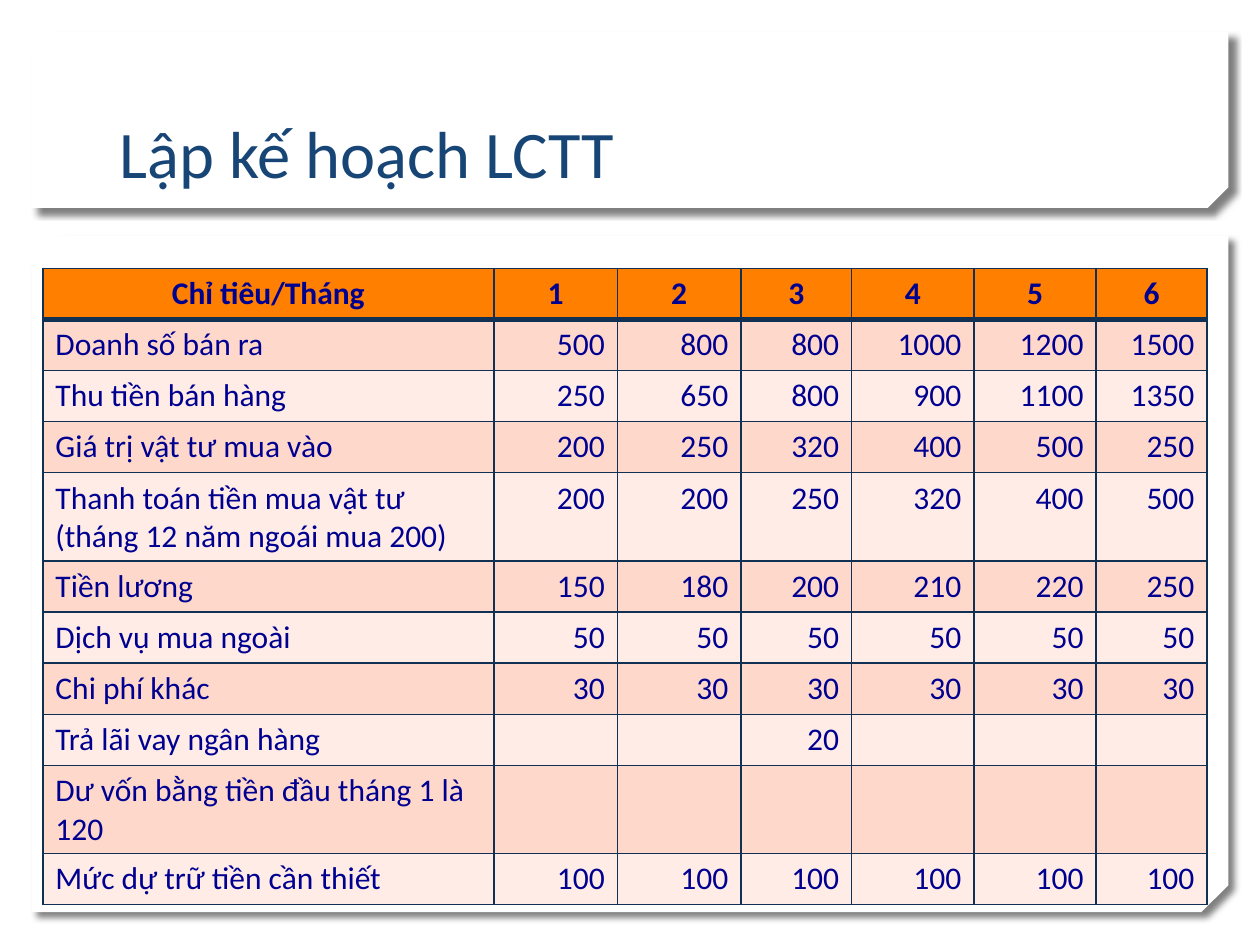
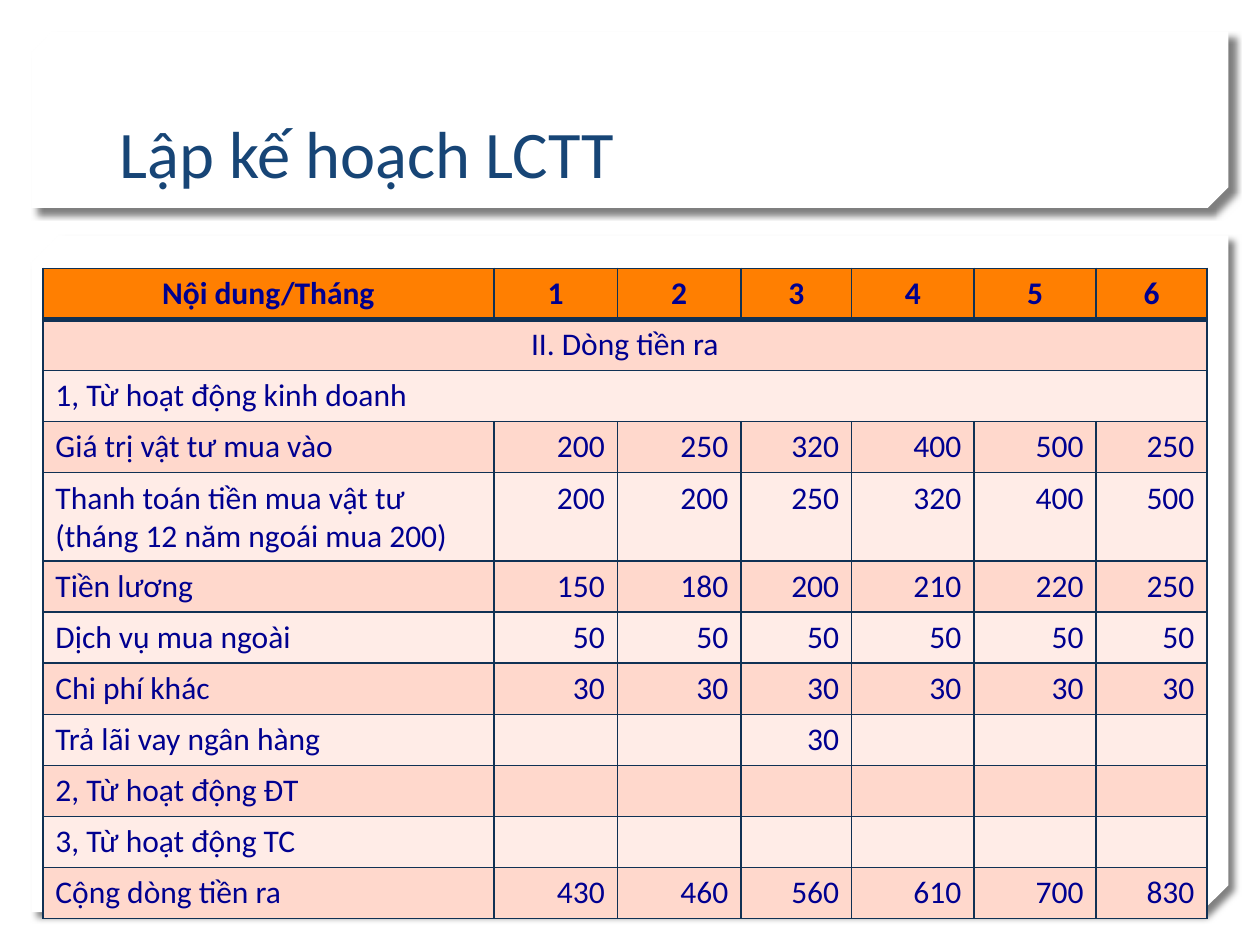
from lxml import etree
from pptx import Presentation, util as u
from pptx.dml.color import RGBColor
from pptx.enum import shapes, text
from pptx.oxml import ns

HUE = {"page": "FFFFFF", "title": "174576", "ink": "000090", "line": "103154",
       "head": "FF7F01", "odd": "FFD8CC", "even": "FFECE7", "shade": "000000"}
LEFT, MID, RIGHT = text.PP_ALIGN.LEFT, text.PP_ALIGN.CENTER, text.PP_ALIGN.RIGHT

deck = Presentation()
deck.slide_width, deck.slide_height = u.Inches(10), u.Inches(7.5)
# One percent of the slide's width and height
PX, PY = deck.slide_width / 100, deck.slide_height / 100

# Left, top, width, height in percent, then the snip of the corner
PANELS = [((2.5, 24.93, 95, 71.6), 0.04), ((2.5, 3.33, 95, 18.67), 0.117)]
TITLE = (8.5, 4.27, 82.9, 16.67)
GRID = (3.4, 28.4)
COLS = [35.8, 9.8, 9.8, 8.8, 9.7, 9.7, 8.8]
ROW = 5.41
MONTHS = [1, 2, 3, 4, 5, 6]
NONE = [""] * 6

COSTS = [
    ("Giá trị vật tư mua vào", [200, 250, 320, 400, 500, 250]),
    ("Thanh toán tiền mua vật tư (tháng 12 năm ngoái mua 200)",
     [200, 200, 250, 320, 400, 500]),
    ("Tiền lương", [150, 180, 200, 210, 220, 250]),
    ("Dịch vụ mua ngoài", [50] * 6),
    ("Chi phí khác", [30] * 6),
]
LOAN = "Trả lãi vay ngân hàng"

# A row whose values are an alignment spans the whole table
PLANS = [
    [("Chỉ tiêu/Tháng", MONTHS),
     ("Doanh số bán ra", [500, 800, 800, 1000, 1200, 1500]),
     ("Thu tiền bán hàng", [250, 650, 800, 900, 1100, 1350]),
     *COSTS,
     (LOAN, ["", "", 20, "", "", ""]),
     ("Dư vốn bằng tiền đầu tháng 1 là 120", NONE),
     ("Mức dự trữ tiền cần thiết", [100] * 6)],
    [("Nội dung/Tháng", MONTHS),
     ("II. Dòng tiền ra", MID),
     ("1, Từ hoạt động kinh doanh", LEFT),
     *COSTS,
     (LOAN, ["", "", 30, "", "", ""]),
     ("2, Từ hoạt động ĐT", NONE),
     ("3, Từ hoạt động TC", NONE),
     ("Cộng dòng tiền ra", [430, 460, 560, 610, 700, 830])],
]


def put(frame, words, size=18, hue="ink", bold=False, align=LEFT):
    frame.word_wrap = True
    para = frame.paragraphs[0]
    para.alignment = align
    font = para.font
    if words != "":
        run = para.add_run()
        run.text = str(words)
        font = run.font
    font.name, font.size, font.bold = "Calibri", u.Pt(size), bold
    font.color.rgb = RGBColor.from_string(HUE[hue])


def area(x, y, wide, high):
    """Turn percentages of the slide into lengths."""
    return [u.Emu(int(n)) for n in (x * PX, y * PY, wide * PX, high * PY)]


for plan in PLANS:
    slide = deck.slides.add_slide(deck.slide_layouts[6])

    for place, snip in PANELS:
        panel = slide.shapes.add_shape(
            shapes.MSO_SHAPE.SNIP_2_DIAG_RECTANGLE, *area(*place))
        panel.adjustments[0], panel.adjustments[1] = 0, snip
        panel.fill.solid()
        panel.fill.fore_color.rgb = RGBColor.from_string(HUE["page"])
        panel.line.fill.background()
        panel.shadow.inherit = False
        props = panel.element.spPr
        props.find(ns.qn("a:xfrm")).set("flipV", "1")
        shade = etree.SubElement(
            props.find(ns.qn("a:effectLst")), ns.qn("a:outerShdw"),
            blurRad=str(u.Pt(4)), dist=str(u.Pt(5)), dir=str(45 * 60000),
            algn="tl", rotWithShape="0")
        tint = etree.SubElement(shade, ns.qn("a:srgbClr"), val=HUE["shade"])
        etree.SubElement(tint, ns.qn("a:alpha"), val="50000")

    title = slide.shapes.add_textbox(*area(*TITLE)).text_frame
    title.vertical_anchor = text.MSO_ANCHOR.BOTTOM
    put(title, "Lập kế hoạch LCTT", size=38, hue="title")

    place = area(*GRID, sum(COLS), ROW * len(plan))
    table = slide.shapes.add_table(len(plan), len(COLS), *place).table
    table.horz_banding = False
    for col, wide in zip(table.columns, COLS):
        col.width = int(wide * PX)

    for r, (label, vals) in enumerate(plan):
        table.rows[r].height = int(ROW * PY)
        span = not isinstance(vals, list)
        if span:
            table.cell(r, 0).merge(table.cell(r, len(COLS) - 1))
        for c, words in enumerate([label] if span else [label, *vals]):
            cell = table.cell(r, c)
            for side in "LRTB":
                thick = (r, side) in [(0, "B"), (1, "T")]
                edge = etree.SubElement(
                    cell._tc.get_or_add_tcPr(), ns.qn("a:ln" + side),
                    w=str(u.Pt(3 if thick else 1)))
                fill = etree.SubElement(edge, ns.qn("a:solidFill"))
                etree.SubElement(fill, ns.qn("a:srgbClr"), val=HUE["line"])
            cell.fill.solid()
            band = "head" if r == 0 else "odd" if r % 2 else "even"
            cell.fill.fore_color.rgb = RGBColor.from_string(HUE[band])
            align = MID if r == 0 else vals if span else RIGHT if c else LEFT
            put(cell.text_frame, words, bold=r == 0, align=align)

deck.save("out.pptx")
